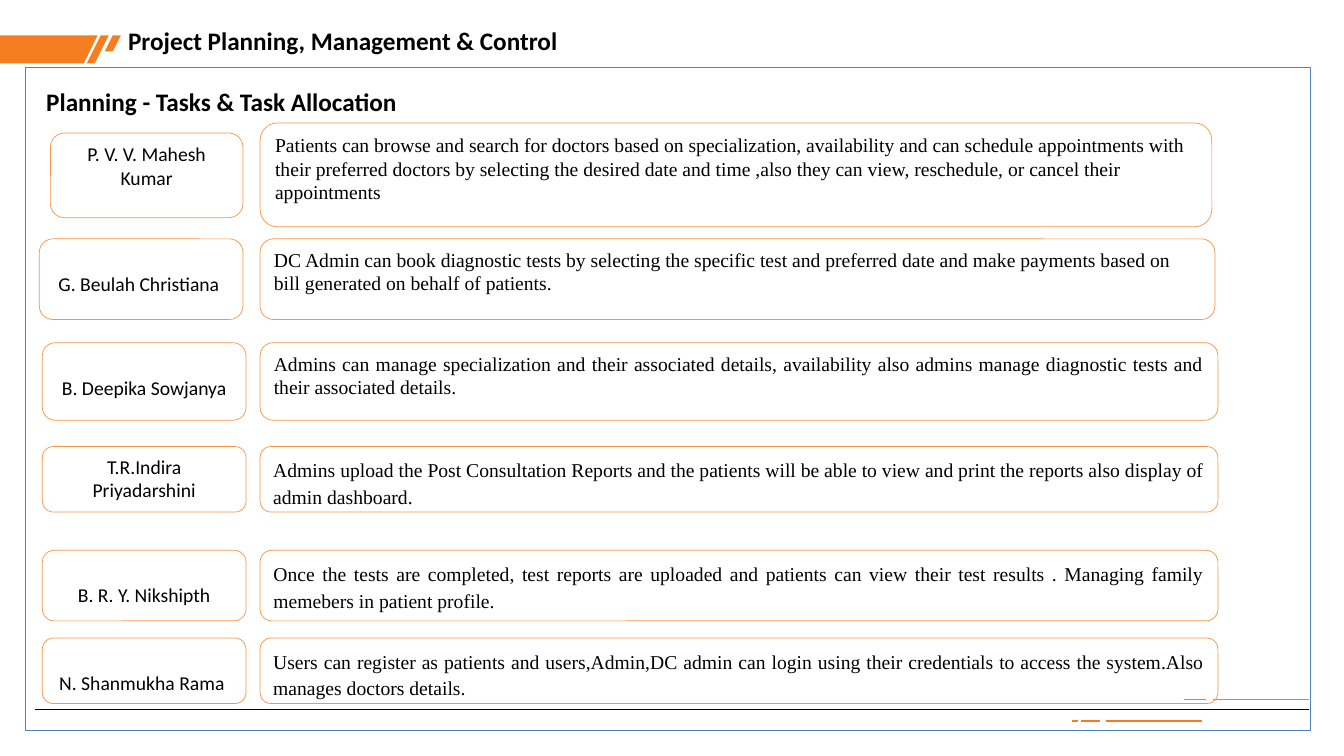
from lxml import etree
from pptx import Presentation
from pptx import util as u
from pptx.dml.color import RGBColor
from pptx.enum import shapes, text
from pptx.oxml.ns import qn

BLACK = RGBColor(0x00, 0x00, 0x00)
ORANGE = RGBColor(0xF4, 0x7E, 0x20)
RULE_ORANGE = RGBColor(0xF5, 0x7D, 0x21)
BOX_ORANGE = RGBColor(0xF7, 0x96, 0x46)
BLUE = RGBColor(0x4F, 0x81, 0xBD)
LEFT, CENTER, JUSTIFY = text.PP_ALIGN.LEFT, text.PP_ALIGN.CENTER, text.PP_ALIGN.JUSTIFY

TITLE = "Project Planning, Management & Control"
SUBTITLE = "Planning - Tasks & Task Allocation"

# Member, name on second line, name box, task, task box, task alignment, line spacing
ALLOCATIONS = [
    ("P. V. V. Mahesh Kumar", False, (0.5, 1.32, 1.91, 0.84),
     "Patients can browse and search for doctors based on specialization, availability and can "
     "schedule appointments with their preferred doctors by selecting the desired date and time "
     ",also they can view, reschedule, or cancel their appointments",
     (2.58, 1.22, 9.44, 1.03), LEFT, 1.0),
    ("G. Beulah Christiana ", True, (0.39, 2.37, 2.02, 0.8),
     "DC Admin can book diagnostic tests by selecting the specific test and preferred date and "
     "make payments based on bill generated on behalf of patients.",
     (2.58, 2.37, 9.47, 0.8), LEFT, 1.0),
    ("B. Deepika Sowjanya", True, (0.42, 3.4, 2.02, 0.77),
     "Admins can manage specialization and their associated details, availability also admins "
     "manage diagnostic tests and their associated details.",
     (2.58, 3.4, 9.5, 0.77), JUSTIFY, 1.0),
    ("T.R.Indira Priyadarshini", False, (0.42, 4.43, 2.02, 0.65),
     "Admins upload the Post Consultation Reports and the patients will be able to view and "
     "print the reports also display of admin dashboard.",
     (2.58, 4.43, 9.5, 0.65), JUSTIFY, 1.14),
    ("B. R. Y. Nikshipth", True, (0.42, 5.46, 2.02, 0.7),
     "Once the tests are completed, test reports are uploaded and patients can view their test "
     "results . Managing family memebers in patient profile.",
     (2.58, 5.46, 9.5, 0.7), JUSTIFY, 1.14),
    ("N. Shanmukha Rama ", True, (0.42, 6.33, 2.02, 0.65),
     "Users can register as patients and users,Admin,DC admin can login using their credentials "
     "to access the system.Also manages doctors details.",
     (2.58, 6.33, 9.5, 0.65), JUSTIFY, 1.14),
]

# Corners in hundredths of an inch, since freeform points are whole numbers
HEADER_STRIPES = [
    [(97, 35), (0, 35), (0, 63), (83, 63)],
    [(108, 35), (100, 35), (86, 63), (94, 63)],
    [(120, 35), (112, 35), (104, 51), (112, 51)],
]
# Start, end, height, colour
FOOTER_RULES = [
    (0.35, 12.98, 7.04, BLACK),
    (12.03, 12.98, 6.94, RULE_ORANGE),
    (11.74, 11.96, 6.94, RULE_ORANGE),
    (10.97, 11.92, 7.15, RULE_ORANGE),
    (10.72, 10.91, 7.15, RULE_ORANGE),
    (10.63, 10.69, 7.15, RULE_ORANGE),
]
MARGIN_TOP = 0.05
NAME_LINE = 0.24


def inches(values):
    return [u.Inches(value) for value in values]


def add_outline(page, kind, area, color, width):
    box = page.shapes.add_shape(kind, *inches(area))
    box.shadow.inherit = False
    box.fill.background()
    box.line.color.rgb = color
    box.line.width = u.Pt(width)
    return box


def write(frame, words, font, size, align, bold=False):
    para = frame.paragraphs[0]
    para.text = words
    para.alignment = align
    para.font.name = font
    para.font.size = u.Pt(size)
    para.font.bold = bold
    para.font.color.rgb = BLACK
    return para


def add_card(page, area, words, font, align, drop=0):
    box = add_outline(page, shapes.MSO_SHAPE.ROUNDED_RECTANGLE, area, BOX_ORANGE, 0.5)
    frame = box.text_frame
    frame.word_wrap = True
    frame.vertical_anchor = text.MSO_ANCHOR.TOP
    frame.margin_top = u.Inches(MARGIN_TOP + drop)
    return write(frame, words, font, 14, align)


def add_rule(page, start, end, height, color):
    rule = page.shapes.add_connector(
        shapes.MSO_CONNECTOR.STRAIGHT, *inches((start, height, end, height)))
    rule.line.color.rgb = color
    rule.line.width = u.Pt(1.25)
    etree.SubElement(rule._element.spPr, qn("a:effectLst"))


def add_header_stripes(page):
    first, *others = HEADER_STRIPES
    builder = page.shapes.build_freeform(*first[0], scale=u.Inches(0.01))
    builder.add_line_segments(first[1:], close=True)
    for stripe in others:
        builder.move_to(*stripe[0])
        builder.add_line_segments(stripe[1:], close=True)
    stripes = builder.convert_to_shape()
    stripes.shadow.inherit = False
    stripes.fill.solid()
    stripes.fill.fore_color.rgb = ORANGE
    stripes.line.fill.background()


def main():
    deck = Presentation()
    deck.slide_width, deck.slide_height = inches((13.33, 7.5))
    page = deck.slides.add_slide(deck.slide_layouts[5])

    # Header and footer decoration
    add_header_stripes(page)
    for rule in FOOTER_RULES:
        add_rule(page, *rule)

    # Members and their tasks
    for name, lowered, name_area, task, task_area, align, spacing in ALLOCATIONS:
        add_card(page, name_area, name, "Calibri", CENTER, NAME_LINE if lowered else 0)
        para = add_card(page, task_area, task, "Times New Roman", align)
        if spacing > 1:
            para.line_spacing = spacing
            para.space_after = u.Pt(3)

    # Title
    title = page.shapes.title
    title.left, title.top, title.width, title.height = inches((1.17, 0.25, 7.2, 0.51))
    frame = title.text_frame
    frame.auto_size = text.MSO_AUTO_SIZE.NONE
    frame.vertical_anchor = text.MSO_ANCHOR.TOP
    frame.margin_top = 0
    write(frame, TITLE, "Calibri", 18, LEFT, bold=True)

    # Frame and subtitle
    add_outline(page, shapes.MSO_SHAPE.RECTANGLE, (0.25, 0.67, 12.75, 6.58), BLUE, 0.75)
    subtitle = page.shapes.add_textbox(*inches((0.36, 0.81, 3.71, 0.4)))
    subtitle.text_frame.word_wrap = False
    write(subtitle.text_frame, SUBTITLE, "Calibri", 18, LEFT, bold=True)

    deck.save("out.pptx")


if __name__ == "__main__":
    main()
